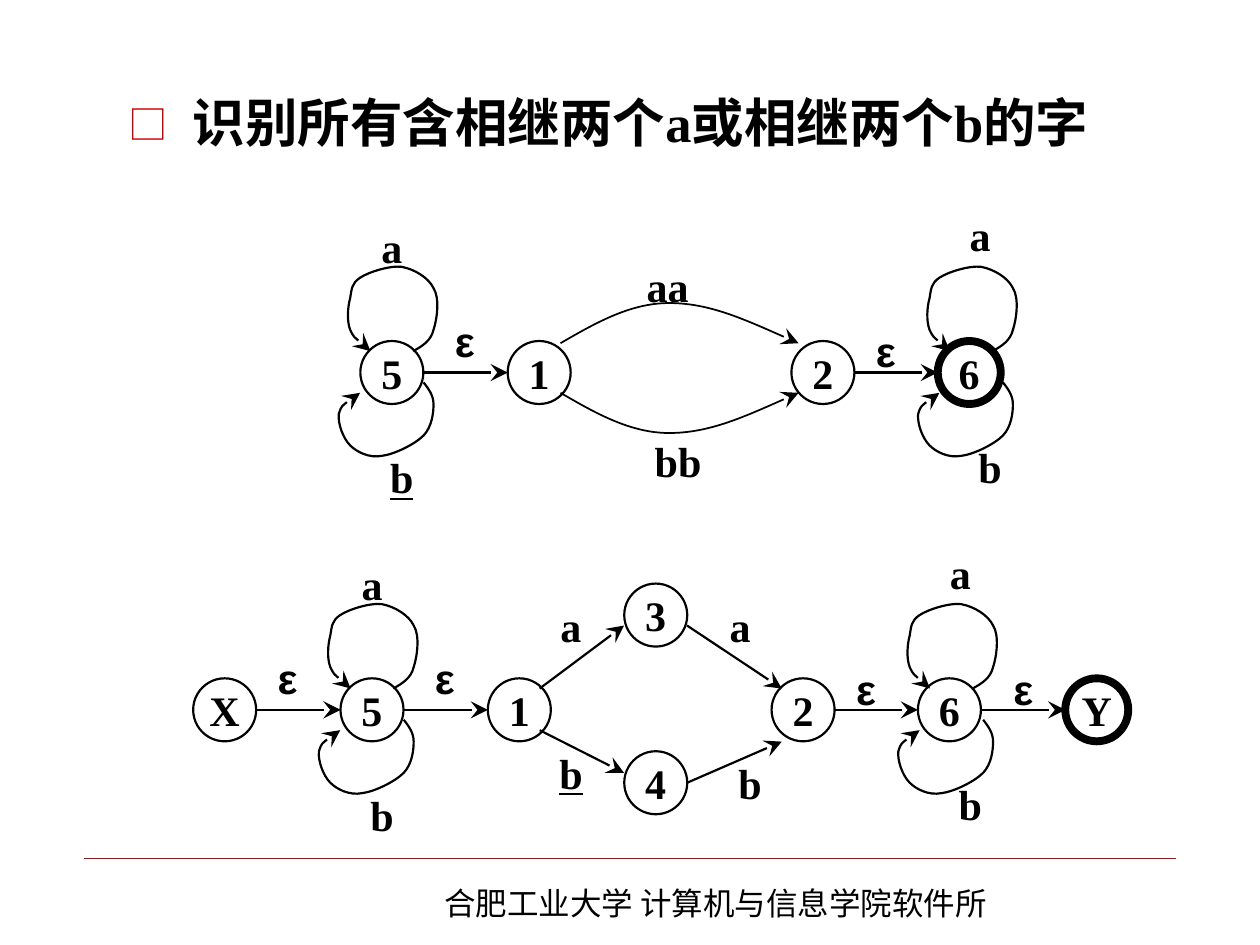
"""Build a slide with two finite automata for words containing aa or bb."""
from lxml import etree
from pptx import Presentation
from pptx.dml.color import RGBColor
from pptx.enum import shapes, text
from pptx.oxml import ns
from pptx.util import Cm, Pt

BLACK = RGBColor(0x00, 0x00, 0x00)
RED = RGBColor(0xCC, 0x00, 0x00)
CJK = "Noto Sans CJK SC"
SERIF = "Times New Roman"
SIZE = 1.27
R = SIZE / 2


def add_text(sp, words, size=24, font=SERIF, bold=True, underline=None, margin=0,
             align=text.PP_ALIGN.CENTER, anchor=text.MSO_ANCHOR.MIDDLE, wrap=False):
    tf = sp.text_frame
    tf.word_wrap = wrap
    tf.vertical_anchor = anchor
    tf.margin_left = tf.margin_right = Cm(margin)
    p = tf.paragraphs[0]
    p.alignment = align
    r = p.add_run()
    r.text = words
    r.font.size, r.font.name = Pt(size), font
    r.font.bold, r.font.underline = bold, underline
    r.font.color.rgb = BLACK
    etree.SubElement(r._r.get_or_add_rPr(), ns.qn("a:ea"), typeface=CJK)
    return p


def style_line(sp, width=1.25, color=BLACK, arrow=True):
    sp.line.width = Pt(width)
    sp.line.color.rgb = color
    if arrow:
        etree.SubElement(sp.line._get_or_add_ln(), ns.qn("a:tailEnd"), type="stealth", w="lg", len="lg")
    if sp._element.spPr.find(ns.qn("a:effectLst")) is None:
        etree.SubElement(sp._element.spPr, ns.qn("a:effectLst"))


prs = Presentation()
prs.slide_width, prs.slide_height = Cm(25.4), Cm(19.05)
s = prs.slides.add_slide(prs.slide_layouts[6])

rule = s.shapes.add_connector(shapes.MSO_CONNECTOR.STRAIGHT, Cm(1.7), Cm(17.31), Cm(23.7), Cm(17.31))
style_line(rule, 0.25, RED, arrow=False)

footer = s.shapes.add_textbox(Cm(8.71), Cm(17.7), Cm(11.99), Cm(1.02))
add_text(footer, "合肥工业大学 计算机与信息学院软件所", size=18, font=CJK, bold=False, margin=0.25,
         align=text.PP_ALIGN.LEFT, anchor=text.MSO_ANCHOR.TOP, wrap=True)

title = s.shapes.add_textbox(Cm(2.34), Cm(1.7), Cm(21.59), Cm(1.7))
p = add_text(title, "识别所有含相继两个a或相继两个b的字", size=30, margin=0.25,
             align=text.PP_ALIGN.LEFT, anchor=text.MSO_ANCHOR.TOP, wrap=True)
pPr = p._p.get_or_add_pPr()
pPr.set("marL", str(Cm(1.3)))
pPr.set("indent", str(-Cm(1.3)))
bullet_color = etree.SubElement(pPr, ns.qn("a:buClr"))
etree.SubElement(bullet_color, ns.qn("a:srgbClr"), val=str(RED))
etree.SubElement(pPr, ns.qn("a:buSzPct"), val="75000")
etree.SubElement(pPr, ns.qn("a:buFont"), typeface=CJK)
etree.SubElement(pPr, ns.qn("a:buChar"), char="□")

loop_a = [(0.43, -0.43), (0.61, -0.53), (0.79, -0.64), (0.84, -0.86), (0.91, -1.07),
          (0.97, -1.5), (0.84, -1.7), (0.74, -1.91), (0.46, -2.08), (0.2, -2.13),
          (-0.03, -2.16), (-0.46, -2.03), (-0.64, -1.91), (-0.81, -1.8), (-0.81, -1.68),
          (-0.84, -1.5), (-0.89, -1.32), (-0.91, -1.04), (-0.84, -0.86),
          (-0.76, -0.69), (-0.58, -0.56), (-0.43, -0.43)]
loop_b = [(0.64, 0.2), (0.74, 0.33), (0.84, 0.46), (0.84, 0.64), (0.84, 0.81),
          (0.81, 1.09), (0.64, 1.27), (0.46, 1.45), (0.05, 1.65), (-0.2, 1.68),
          (-0.46, 1.73), (-0.71, 1.6), (-0.84, 1.47), (-0.99, 1.32), (-1.09, 1.02),
          (-1.07, 0.84), (-1.02, 0.66), (-0.84, 0.53), (-0.64, 0.41)]
arc_aa = [(3.4, -0.59), (4.09, -0.99), (4.8, -1.4), (5.59, -1.4), (6.4, -1.4),
          (7.29, -0.99), (8.2, -0.59)]
arc_bb = [(x, -y - 0.18) for x, y in arc_aa]

x1, x2, x6, x_start, x_end, x_mid = 2.97, 8.69, 11.64, -2.97, 14.61, 5.72
states = [("5", 0, 0), ("1", x1, 0), ("2", x2, 0), ("6", x6, 0)]
edges = [(R, 0, x1 - R, 0), (x2 + R, 0, x6 - R, 0)]
labels = [("a", 0, -2.54), ("ε", 1.47, -0.64), ("ε", 9.96, -0.43),
          ("a", 11.86, -2.77), ("b", 12.06, 1.9)]
loops = [([(x + dx, y) for x, y in loop], 1.25) for dx in (0, x6 + 0.04) for loop in (loop_a, loop_b)]

automata = [
    dict(x0=7.9, y0=7.51, final="6", states=states, edges=edges,
         curves=loops + [(arc_aa, 1), (arc_bb, 1)], underlined=("b", 0.2, 2.11),
         labels=labels + [("aa", 5.56, -1.75), ("bb", 5.77, 1.78)]),
    dict(x0=7.5, y0=14.31, final="Y", curves=loops, underlined=("b", 4.01, 1.27),
         states=states + [("X", x_start, 0), ("Y", x_end, 0), ("3", x_mid, -1.91), ("4", x_mid, 1.47)],
         edges=edges + [(x_start + R, 0, -R, 0), (x6 + R, 0, x_end - R, 0),
                        (3.38, -0.43, 5.08, -1.7), (3.38, 0.41, 5.08, 1.27),
                        (6.35, -1.7, 8.26, -0.43), (6.35, 1.47, 8.26, 0.64)],
         labels=labels + [("b", 0.2, 2.11), ("ε", -1.7, -0.64), ("ε", 13.13, -0.43),
                          ("a", 4.01, -1.7), ("a", 7.42, -1.7), ("b", 7.62, 1.47)]),
]

for fa in automata:
    x0, y0 = fa["x0"], fa["y0"]
    for name, x, y in fa["states"]:
        sp = s.shapes.add_shape(shapes.MSO_SHAPE.OVAL, Cm(x0 + x - R), Cm(y0 + y - R), Cm(SIZE), Cm(SIZE))
        sp.shadow.inherit = False
        sp.fill.background()
        style_line(sp, 4.5 if name == fa["final"] else 1.25, arrow=False)
        add_text(sp, name)

    for xa, ya, xb, yb in fa["edges"]:
        style_line(s.shapes.add_connector(shapes.MSO_CONNECTOR.STRAIGHT, Cm(x0 + xa), Cm(y0 + ya),
                                          Cm(x0 + xb), Cm(y0 + yb)))

    for points, width in fa["curves"]:
        pts = [(Cm(x0 + x), Cm(y0 + y)) for x, y in points]
        builder = s.shapes.build_freeform(*pts[0])
        builder.add_line_segments(pts[1:], close=False)
        sp = builder.convert_to_shape()
        sp.shadow.inherit = False
        sp.fill.background()
        style_line(sp, width)
        outline = sp._element.find(".//" + ns.qn("a:path"))
        segments = outline.findall(ns.qn("a:lnTo"))
        for i in range(0, len(segments), 3):
            bezier = etree.SubElement(outline, ns.qn("a:cubicBezTo"))
            for segment in segments[i:i + 3]:
                bezier.append(segment[0])
                outline.remove(segment)

    for label in fa["labels"] + [fa["underlined"]]:
        words, x, y = label
        sp = s.shapes.add_textbox(Cm(x0 + x - R), Cm(y0 + y - R), Cm(SIZE), Cm(SIZE))
        add_text(sp, words, font="Arial" if words == "ε" else SERIF,
                 underline=True if label is fa["underlined"] else None)

prs.save("out.pptx")
